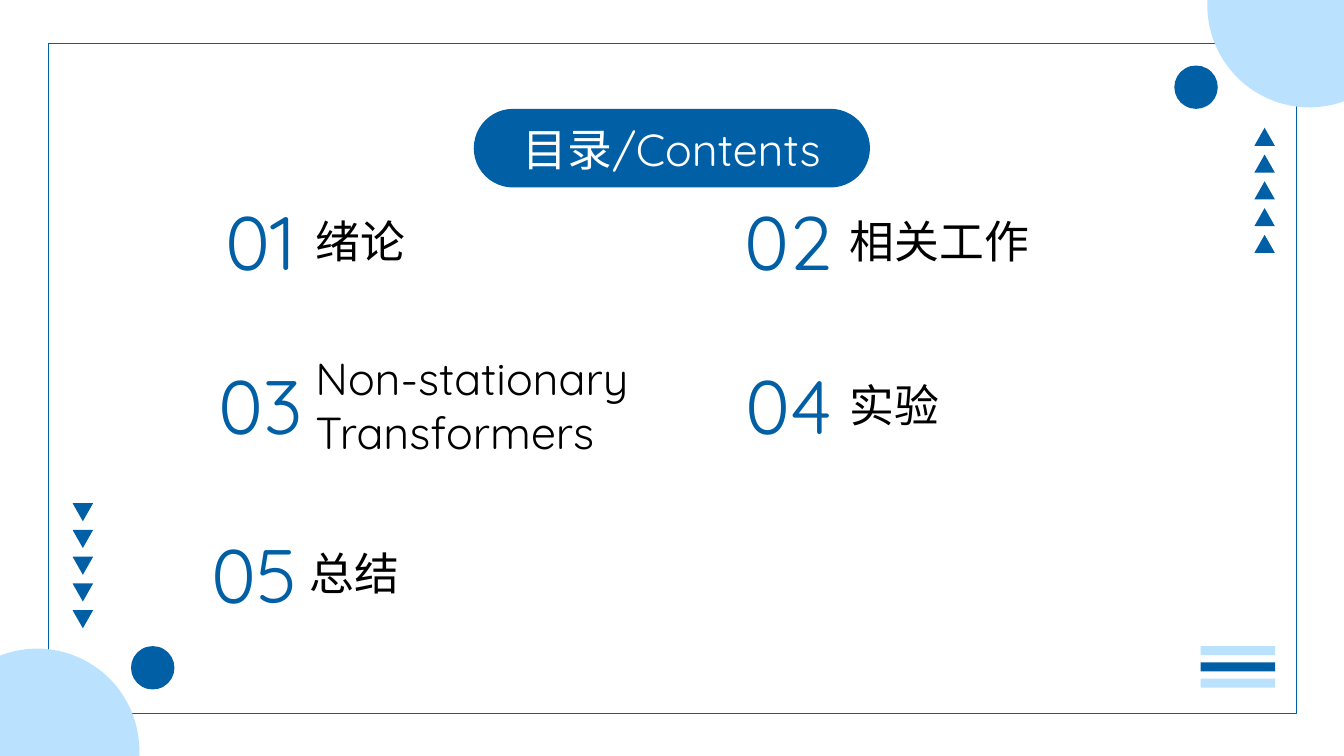
"""Build a contents slide with five numbered chapters inside a decorated frame."""
import math
from dataclasses import dataclass

import pptx
import pptx.dml.color
import pptx.enum.shapes
import pptx.enum.text
import pptx.shapes.autoshape
import pptx.slide
import pptx.util

BLUE = pptx.dml.color.RGBColor(0x00, 0x5F, 0xA5)
PALE_BLUE = pptx.dml.color.RGBColor(0xBA, 0xE2, 0xFF)
BLACK = pptx.dml.color.RGBColor(0x00, 0x00, 0x00)
WHITE = pptx.dml.color.RGBColor(0xFF, 0xFF, 0xFF)
FONT = "Quicksand"
SLIDE_WIDTH = pptx.util.Inches(13.33)
SLIDE_HEIGHT = pptx.util.Inches(7.5)
GRID = 100
NUMBER_WIDTH, NUMBER_HEIGHT = 8.93, 9.73
ROW_TOPS = (26.93, 48.67, 70.93)
TRIANGLE_COUNT, TRIANGLE_PITCH = 5, 3.54
BAR_PITCH = 2.15
DISC_CENTER = (97.43, 0.67)
DISC_RADIUS = (7.6, 13.53)
DISC_RIGHT = 100.2
ARC_STEPS = 60
Shapes = pptx.enum.shapes.MSO_SHAPE
Align = pptx.enum.text.PP_ALIGN


@dataclass(frozen=True)
class Box:
    """A rectangle in columns and rows of a 100 by 100 slide grid."""

    left: float
    top: float
    width: float
    height: float


@dataclass(frozen=True)
class Chapter:
    """A contents entry with the place of its number and its label."""

    number: str
    title: str
    row: int
    number_left: float
    label_left: float
    label_width: float
    label_height: float = 8.53


CHAPTERS = (
    Chapter("01", "绪论", 0, 14.93, 22.73, 27),
    Chapter("02", "相关工作", 0, 54.23, 62.48, 27),
    Chapter("03", "Non-stationary Transformers", 1, 14.93, 22.73, 32.18, 15.73),
    Chapter("04", "实验", 1, 54.23, 62.48, 27),
    Chapter("05", "总结", 2, 14.48, 22.28, 32.18),
)


def across(columns: float) -> int:
    """Turn grid columns into a length."""
    return round(SLIDE_WIDTH * columns / GRID)


def down(rows: float) -> int:
    """Turn grid rows into a length."""
    return round(SLIDE_HEIGHT * rows / GRID)


def place(box: Box) -> tuple[int, int, int, int]:
    """Turn a grid box into left, top, width and height."""
    return across(box.left), down(box.top), across(box.width), down(box.height)


def paint(
    shape: pptx.shapes.autoshape.Shape,
    fill: pptx.dml.color.RGBColor | None,
    line: pptx.dml.color.RGBColor | None = None,
) -> None:
    """Set the fill and outline of a shape and drop its shadow."""
    shape.shadow.inherit = False
    if fill is None:
        shape.fill.background()
    else:
        shape.fill.solid()
        shape.fill.fore_color.rgb = fill
    if line is None:
        shape.line.fill.background()
    else:
        shape.line.color.rgb = line
        shape.line.width = pptx.util.Pt(1)


def add_preset(
    slide: pptx.slide.Slide,
    preset: pptx.enum.shapes.MSO_SHAPE,
    box: Box,
    fill: pptx.dml.color.RGBColor | None,
    line: pptx.dml.color.RGBColor | None = None,
) -> pptx.shapes.autoshape.Shape:
    """Add a painted preset shape."""
    shape = slide.shapes.add_shape(preset, *place(box))
    paint(shape, fill, line)
    return shape


def write(
    shape: pptx.shapes.autoshape.Shape,
    text: str,
    size: int,
    color: pptx.dml.color.RGBColor,
    alignment: pptx.enum.text.PP_ALIGN,
) -> None:
    """Write one vertically centred paragraph into a shape."""
    frame = shape.text_frame
    frame.word_wrap = True
    frame.vertical_anchor = pptx.enum.text.MSO_ANCHOR.MIDDLE
    frame.text = text
    paragraph = frame.paragraphs[0]
    paragraph.alignment = alignment
    font = paragraph.runs[0].font
    font.name, font.size = FONT, pptx.util.Pt(size)
    font.color.rgb = color


def add_corner_disc(slide: pptx.slide.Slide, mirrored: bool) -> None:
    """Add the cropped disc at the top right, or its mirror at the bottom left."""
    (center_x, center_y), (radius_x, radius_y) = DISC_CENTER, DISC_RADIUS
    start = math.pi + math.asin(center_y / radius_y)
    end = math.acos((DISC_RIGHT - center_x) / radius_x)
    angles = [start + (end - start) * step / ARC_STEPS for step in range(ARC_STEPS + 1)]
    outline = [(DISC_RIGHT, 0.0)] + [
        (center_x + radius_x * math.cos(angle), center_y + radius_y * math.sin(angle))
        for angle in angles
    ]
    if mirrored:
        outline = [(DISC_RIGHT - x, GRID - y) for x, y in outline]
    points = [(across(x), down(y)) for x, y in outline]
    builder = slide.shapes.build_freeform(*points[0])
    builder.add_line_segments(points[1:], close=True)
    paint(builder.convert_to_shape(), PALE_BLUE)


def add_triangles(slide: pptx.slide.Slide, left: float, top: float, rotation: int) -> None:
    """Add a column of small triangles."""
    for index in range(TRIANGLE_COUNT):
        box = Box(left, top + index * TRIANGLE_PITCH, 1.53, 2.4)
        add_preset(slide, Shapes.ISOSCELES_TRIANGLE, box, BLUE).rotation = rotation


def add_decoration(slide: pptx.slide.Slide) -> None:
    """Add the frame and the ornaments in its corners."""
    add_preset(slide, Shapes.RECTANGLE, Box(3.6, 5.73, 92.85, 88.67), None, BLUE)
    add_corner_disc(slide, mirrored=False)
    add_triangles(slide, 93.33, 16.9, 0)
    add_corner_disc(slide, mirrored=True)
    add_triangles(slide, 5.4, 66.55, 180)
    for left, top in ((87.38, 8.67), (9.75, 85.47)):
        add_preset(slide, Shapes.OVAL, Box(left, top, 3.23, 5.73), BLUE)
    for index, color in enumerate((PALE_BLUE, BLUE, PALE_BLUE)):
        box = Box(89.33, 85.47 + index * BAR_PITCH, 5.55, 1.2)
        add_preset(slide, Shapes.RECTANGLE, box, color)


def add_chapter(slide: pptx.slide.Slide, chapter: Chapter) -> None:
    """Add the number and the label of a chapter, centred on one row."""
    top = ROW_TOPS[chapter.row]
    number_box = Box(chapter.number_left, top, NUMBER_WIDTH, NUMBER_HEIGHT)
    number = add_preset(slide, Shapes.ROUNDED_RECTANGLE, number_box, None)
    write(number, chapter.number, 54, BLUE, Align.CENTER)
    label_top = top + (NUMBER_HEIGHT - chapter.label_height) / 2
    label_box = Box(chapter.label_left, label_top, chapter.label_width, chapter.label_height)
    label = slide.shapes.add_textbox(*place(label_box))
    write(label, chapter.title, 32, BLACK, Align.LEFT)
    label.text_frame.auto_size = pptx.enum.text.MSO_AUTO_SIZE.SHAPE_TO_FIT_TEXT


def main() -> None:
    """Create the presentation and save it."""
    presentation = pptx.Presentation()
    presentation.slide_width, presentation.slide_height = SLIDE_WIDTH, SLIDE_HEIGHT
    slide = presentation.slides.add_slide(presentation.slide_layouts[6])
    add_decoration(slide)
    heading = add_preset(slide, Shapes.ROUNDED_RECTANGLE, Box(35.25, 14.4, 29.48, 10.4), BLUE)
    heading.adjustments[0] = 0.5
    write(heading, "目录/Contents", 32, WHITE, Align.CENTER)
    for chapter in CHAPTERS:
        add_chapter(slide, chapter)
    presentation.save("out.pptx")


if __name__ == "__main__":
    main()
